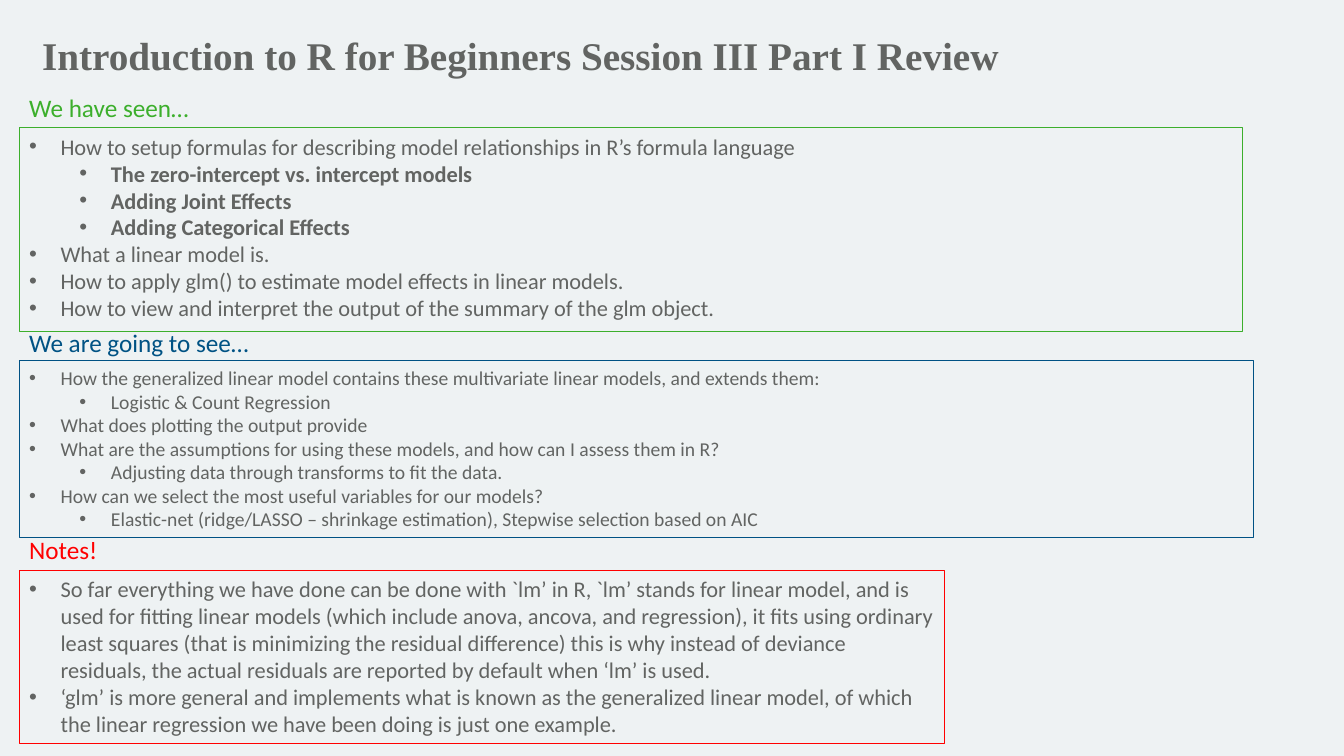
from pptx import Presentation
from pptx.dml.color import RGBColor
from pptx.enum import shapes, text
from pptx.oxml import parse_xml
from pptx.oxml.ns import nsdecls
from pptx.util import Pt

COLORS = {
    "background": "EEF2F3",
    "body": "626462",
    "seen": "3CAF2C",
    "upcoming": "005284",
    "notes": "FF0000",
}
TITLE = "Introduction to R for Beginners Session III Part I Review"
SECTIONS = [
    {
        "heading": "We have seen…",
        "color": "seen",
        "heading_area": (62.6, 150.5),
        "box_area": (91.4, 874.1, 145.4),
        "size": 16,
        "bold_level": 1,
        "items": [
            (0, "How to setup formulas for describing model relationships in R’s formula language"),
            (1, "The zero-intercept vs. intercept models"),
            (1, "Adding Joint Effects"),
            (1, "Adding Categorical Effects"),
            (0, "What a linear model is."),
            (0, "How to apply glm() to estimate model effects in linear models."),
            (0, "How to view and interpret the output of the summary of the glm object."),
        ],
    },
    {
        "heading": "We are going to see…",
        "color": "upcoming",
        "heading_area": (230.4, 185),
        "box_area": (257.8, 882, 126),
        "size": 14,
        "bold_level": None,
        "items": [
            (0, "How the generalized linear model contains these multivariate linear models, and extends them:"),
            (1, "Logistic & Count Regression"),
            (0, "What does plotting the output provide"),
            (0, "What are the assumptions for using these models, and how can I assess them in R?"),
            (1, "Adjusting data through transforms to fit the data."),
            (0, "How can we select the most useful variables for our models?"),
            (1, "Elastic-net (ridge/LASSO – shrinkage estimation), Stepwise selection based on AIC"),
        ],
    },
    {
        "heading": "Notes!",
        "color": "notes",
        "heading_area": (378, 150.5),
        "box_area": (407.5, 661, 123.8),
        "size": 16,
        "bold_level": None,
        "items": [
            (0, "So far everything we have done can be done with `lm’ in R, `lm’ stands for linear model, "
                "and is used for fitting linear models (which include anova, ancova, and regression), "
                "it fits using ordinary least squares (that is minimizing the residual difference) "
                "this is why instead of deviance residuals, the actual residuals are reported by "
                "default when ‘lm’ is used."),
            (0, "‘glm’ is more general and implements what is known as the generalized linear model, "
                "of which the linear regression we have been doing is just one example."),
        ],
    },
]
LEFT, HEADING_HEIGHT = 13.7, 29.1
BULLET_INDENT, LEVEL_INDENT = 22.5, 36


def rgb(name):
    """Return the named colour."""
    return RGBColor.from_string(COLORS[name])


def style(paragraph, words, size, color, name="Calibri", bold=False):
    """Fill a paragraph and set its font."""
    paragraph.text = words
    paragraph.alignment = text.PP_ALIGN.LEFT
    font = paragraph.font
    font.name, font.size, font.bold = name, Pt(size), bold
    font.color.rgb = rgb(color)


def add_label(slide, area, words, size, color, **font):
    """Add a one-line text box and return its paragraph."""
    frame = slide.shapes.add_textbox(*map(Pt, area)).text_frame
    frame.word_wrap = True
    paragraph = frame.paragraphs[0]
    style(paragraph, words, size, color, **font)
    return paragraph


def add_bullet(paragraph, level):
    """Give a paragraph a hanging bullet at its level."""
    paragraph.level = level
    properties = paragraph._p.get_or_add_pPr()
    properties.set("marL", str(Pt(BULLET_INDENT + level * LEVEL_INDENT)))
    properties.set("indent", str(Pt(-BULLET_INDENT)))
    for tag in ('buFont {} typeface="Arial"', 'buChar {} char="•"'):
        properties.append(parse_xml(f"<a:{tag.format(nsdecls('a'))}/>"))


def add_box(slide, section):
    """Add the outlined bullet list of a section."""
    top, width, height = section["box_area"]
    shape = slide.shapes.add_shape(
        shapes.MSO_SHAPE.RECTANGLE, Pt(LEFT), Pt(top), Pt(width), Pt(height))
    shape.shadow.inherit = False
    shape.fill.background()
    shape.line.color.rgb = rgb(section["color"])
    shape.line.width = Pt(0.75)
    frame = shape.text_frame
    frame.word_wrap = True
    frame.vertical_anchor = text.MSO_ANCHOR.TOP
    for index, (level, words) in enumerate(section["items"]):
        paragraph = frame.add_paragraph() if index else frame.paragraphs[0]
        style(paragraph, words, section["size"], "body", bold=level == section["bold_level"])
        add_bullet(paragraph, level)


def main():
    """Build the review slide."""
    presentation = Presentation()
    presentation.slide_width, presentation.slide_height = Pt(960), Pt(540)
    slide = presentation.slides.add_slide(presentation.slide_layouts[6])
    slide.background.fill.solid()
    slide.background.fill.fore_color.rgb = rgb("background")
    title = add_label(slide, (23, 22.3, 789, 51.8), TITLE, 28, "body",
                      name="Times New Roman", bold=True)
    title.line_spacing = 0.9
    for section in SECTIONS:
        top, width = section["heading_area"]
        add_box(slide, section)
        add_label(slide, (LEFT, top, width, HEADING_HEIGHT), section["heading"], 18, section["color"])
    presentation.save("out.pptx")


if __name__ == "__main__":
    main()
